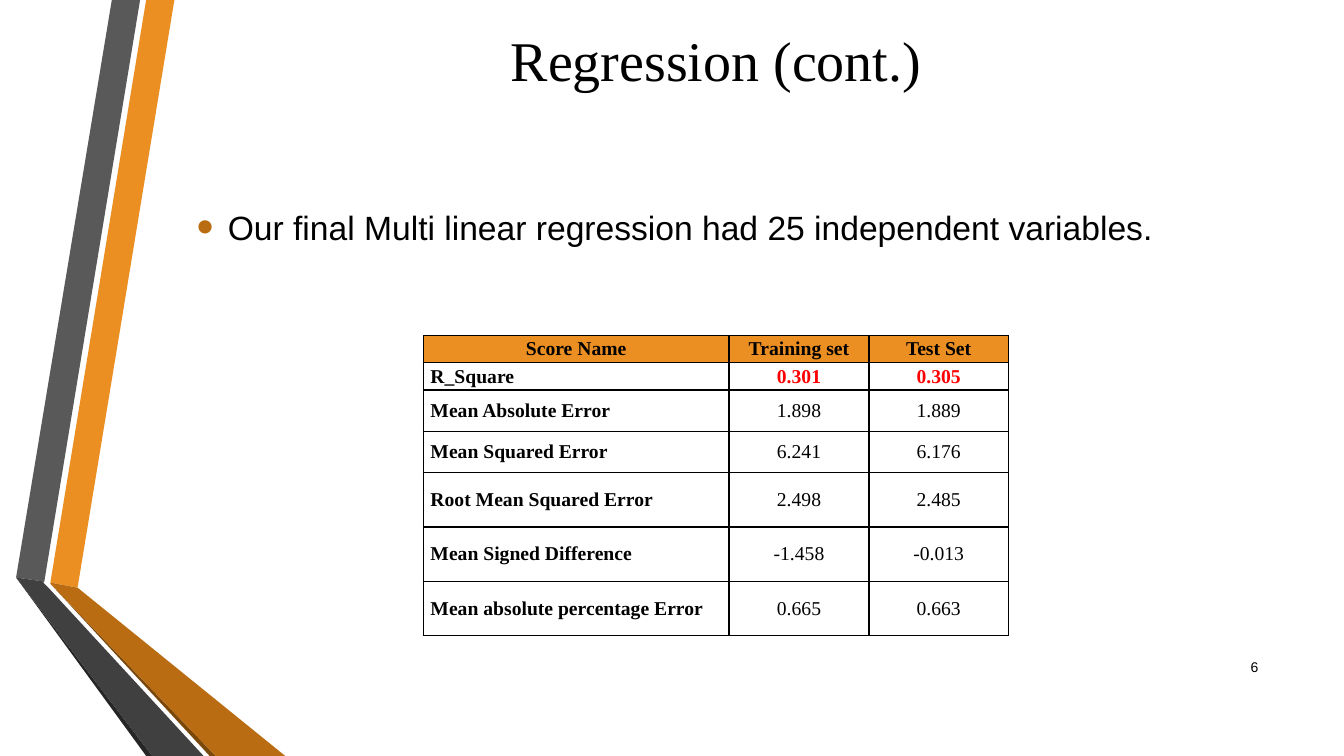
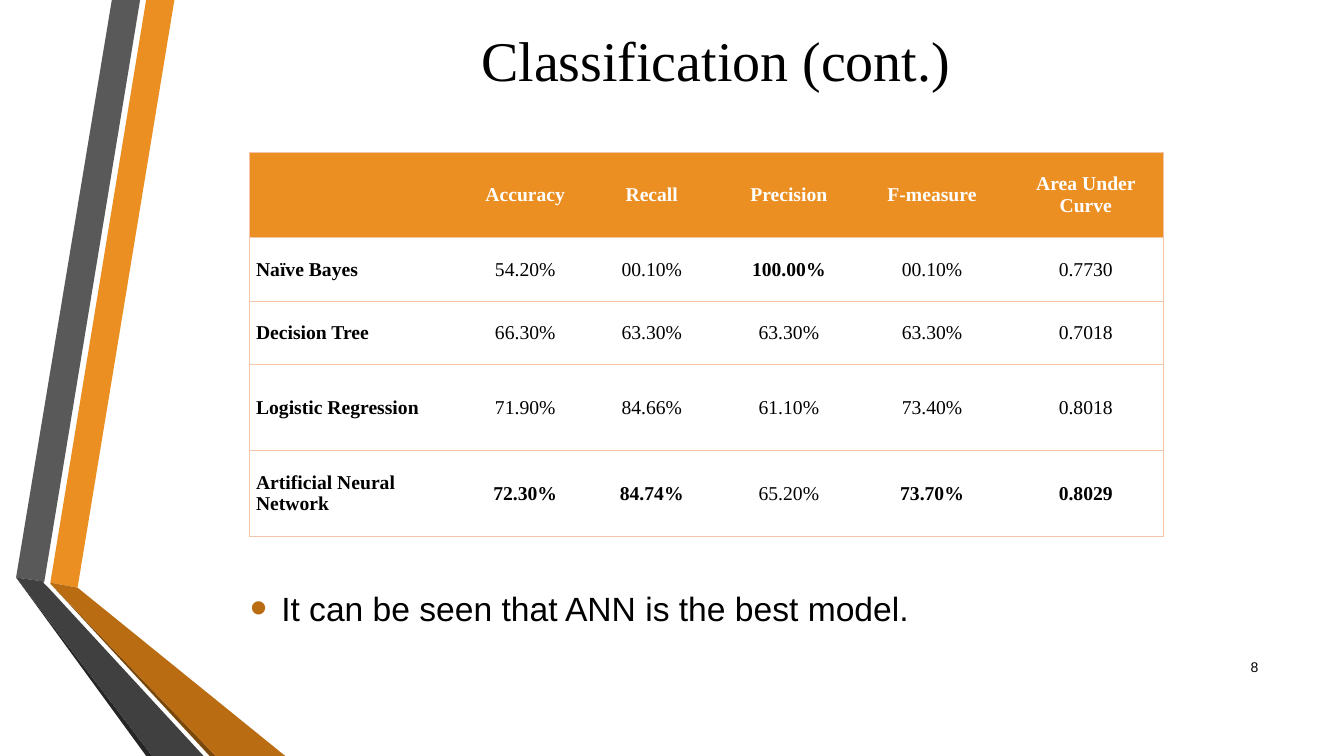
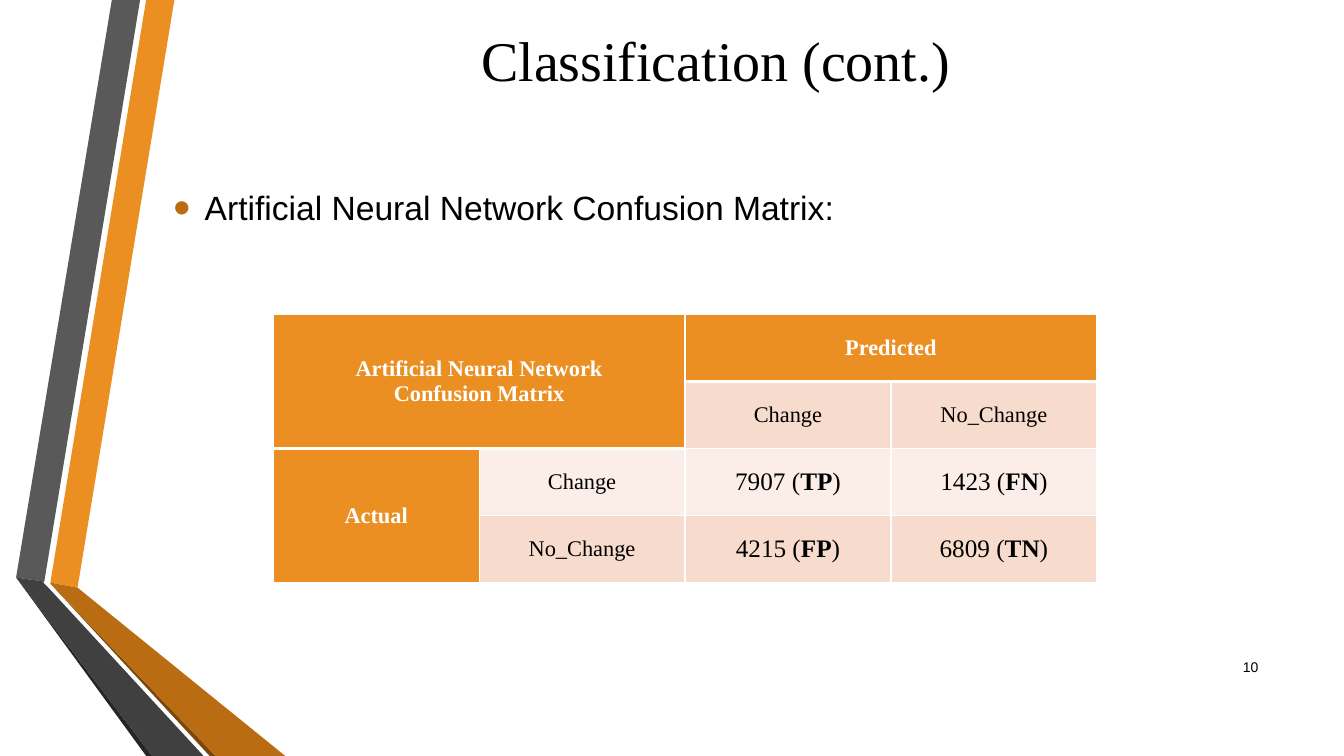
from lxml.etree import SubElement as Sub
from pptx import Presentation
from pptx.dml.color import RGBColor as Rgb
from pptx.enum.text import MSO_ANCHOR as Anchor, MSO_AUTO_SIZE as Auto, PP_ALIGN as Align
from pptx.oxml.ns import qn
from pptx.util import Inches, Pt

HUES = {
    "black": "000000", "white": "FFFFFF", "red": "FF0000",
    "orange": "EB8F22", "brown": "B96C11", "umber": "7B480B",
    "gray": "595959", "slate": "404040", "coal": "262626",
    "peach": "F3C6AC", "rose": "F7DBCD", "blush": "FBEEE8",
}
SERIF, SANS = "Times New Roman", "Arial"
BANDS = [
    ("orange", [(50, 578), (77, 583), (173, 0), (145, 0)]),
    ("gray", [(139, 0), (111, 0), (16, 573), (44, 577)]),
    ("coal", [(16, 573), (145, 750), (151, 750)]),
    ("umber", [(50, 579), (208, 750), (214, 750)]),
    ("brown", [(50, 579), (214, 750), (283, 750), (77, 583), (50, 578)]),
    ("slate", [(202, 750), (48, 583), (43, 578), (44, 577), (16, 573), (151, 750)]),
]


class Deck:
    """Hold the shared style and the current slide."""

    def __init__(self):
        self.prs = Presentation()
        self.prs.slide_width = Inches(13.33)
        self.prs.slide_height = Inches(7.5)
        self.base = self.prs.slide_layouts[1]
        self.slide = None

    def page(self, title, number):
        """Start a slide with its title and number."""
        first = self.slide is None
        self.slide = self.prs.slides.add_slide(self.base)
        if first:
            self.bands()
        head = self.slide.shapes.title
        self.place(head, 1.62, 0, 10.96, 1.17)
        self.put(head.text_frame, title, 40, align=Align.CENTER)
        box = self.slide.shapes.add_textbox(0, 0, 0, 0)
        self.place(box, 11.98, 6.42, 0.6, 0.4)
        self.put(box.text_frame, number, 10, SANS, align=Align.RIGHT)

    def bands(self):
        """Draw the folded bands and hand them to the layout."""
        for num, (hue, dots) in enumerate(BANDS, 20):
            pen = self.slide.shapes.build_freeform(*dots[0], scale=Inches(0.01))
            pen.add_line_segments(dots[1:], close=True)
            band = pen.convert_to_shape()
            band.shadow.inherit = False
            self.paint(band.fill, hue)
            band.line.fill.background()
            band.element.nvSpPr.cNvPr.set("id", str(num))
            self.base.shapes.element.append(band.element)

    def place(self, shape, left, top, width, height):
        """Set the place of a text shape and its frame."""
        shape.left, shape.top = Inches(left), Inches(top)
        shape.width, shape.height = Inches(width), Inches(height)
        frame = shape.text_frame
        frame.word_wrap = True
        frame.auto_size = Auto.NONE
        frame.vertical_anchor = Anchor.MIDDLE

    def paint(self, fill, hue):
        """Fill with a named colour, or with nothing."""
        if hue:
            fill.solid()
            fill.fore_color.rgb = Rgb.from_string(HUES[hue])
        else:
            fill.background()

    def put(self, frame, text, size, font=SERIF, hue="black", align=Align.LEFT):
        """Add lines of text, with bold between stars."""
        for row, line in enumerate(text.split("\n")):
            para = frame.add_paragraph() if row else frame.paragraphs[0]
            para.alignment = align
            for num, part in enumerate(line.split("*")):
                if part:
                    run = para.add_run()
                    run.text = part
                    run.font.name = font
                    run.font.size = Pt(size)
                    run.font.bold = num % 2 == 1
                    run.font.color.rgb = Rgb.from_string(HUES[hue])

    def point(self, text, left, top, width, height, lead=0.05):
        """Put a bullet point in the body."""
        body = self.slide.placeholders[1]
        self.place(body, left, top, width, height)
        body.text_frame.margin_top = Inches(lead)
        self.put(body.text_frame, text, 24, SANS)
        para = body.text_frame.paragraphs[0]
        para.space_before, para.space_after = Pt(5), Pt(6)
        props = para._p.get_or_add_pPr()
        props.set("marL", str(Inches(0.31)))
        props.set("indent", str(-Inches(0.31)))
        Sub(Sub(props, qn("a:buClr")), qn("a:srgbClr")).set("val", HUES["brown"])
        Sub(props, qn("a:buSzPct")).set("val", "145000")
        Sub(props, qn("a:buFont")).set("typeface", SANS)
        Sub(props, qn("a:buChar")).set("char", "•")

    def edge(self, cell, hue, widths):
        """Set the left, right, top and bottom lines of a cell."""
        props = cell._tc.get_or_add_tcPr()
        for side, width in zip("LRTB", widths):
            line = Sub(props, qn("a:ln" + side))
            if width:
                line.set("w", str(Pt(width)))
                fill = Sub(line, qn("a:solidFill"))
                Sub(fill, qn("a:srgbClr")).set("val", HUES[hue])
            else:
                Sub(line, qn("a:noFill"))

    def grid(self, rows, left, top, cols, highs, line, edges, look, spans=()):
        """Add a table; edges and look give the style of each cell."""
        table = self.slide.shapes.add_table(
            len(rows), len(cols), Inches(left), Inches(top),
            Inches(sum(cols)), Inches(sum(highs))).table
        table.first_row = table.horz_banding = False
        for col, width in zip(table.columns, cols):
            col.width = Inches(width)
        for row, high in zip(table.rows, highs):
            row.height = Inches(high)
        for start, end in spans:
            table.cell(*start).merge(table.cell(*end))
        for r, row in enumerate(rows):
            for c, text in enumerate(row):
                cell = table.cell(r, c)
                fill, hue, size, align = look(r, c)
                self.edge(cell, line, edges(r, c))
                self.paint(cell.fill, fill)
                cell.vertical_anchor = Anchor.MIDDLE
                cell.margin_left = cell.margin_right = Inches(0.07)
                cell.margin_top = cell.margin_bottom = 0
                self.put(cell.text_frame, text, size, hue=hue, align=align)


def side(r, c):
    """Align row names left and the rest to the centre."""
    return Align.LEFT if r and not c else Align.CENTER


def score(r, c):
    """Style the cells of the score table."""
    hue = "red" if r == 1 and c else "black"
    return None if r else "orange", hue, 14, side(r, c)


def model(r, c):
    """Style the cells of the model table."""
    return (None, "black", 14, side(r, c)) if r else ("orange", "white", 14, side(r, c))


def matrix(r, c):
    """Style the cells of the confusion matrix."""
    if r == 0 or c == 0 or (r == 1 and c == 1):
        return "orange", "white", 16, Align.CENTER
    size = 18 if r > 1 and c > 1 else 16
    return "rose" if r % 2 else "blush", "black", size, Align.CENTER


def rule(r, c):
    """Give the matrix a heavy line below its header."""
    last = 1 if c < 2 else 0
    return 1, 1, 3 if r == last + 1 else 1, 3 if r <= last else 1


deck = Deck()

deck.page("Regression (cont.)", "6")
deck.point("Our final Multi linear regression had 25 independent variables.",
           1.85, 1.17, 10.96, 2.16)
deck.grid([
    ("*Score Name*", "*Training set*", "*Test Set*"),
    ("*R_Square*", "*0.301*", "*0.305*"),
    ("*Mean Absolute Error*", "1.898", "1.889"),
    ("*Mean Squared Error*", "6.241", "6.176"),
    ("*Root Mean Squared Error*", "2.498", "2.485"),
    ("*Mean Signed Difference*", "-1.458", "-0.013"),
    ("*Mean absolute percentage Error*", "0.665", "0.663"),
], 4.2, 3.33, [3.03, 1.39, 1.38], [0.27] * 2 + [0.41] * 2 + [0.54] * 3,
    "black", lambda r, c: (1, 1, 1, 1), score)

deck.page("Classification (cont.)", "8")
deck.point("It can be seen that ANN is the best model.",
           2.38, 3.79, 10.95, 3.42, lead=1.11)
deck.grid([
    ("", "*Accuracy*", "*Recall*", "*Precision*", "*F-measure*", "*Area Under Curve*"),
    ("*Naïve Bayes*", "54.20%", "00.10%", "*100.00%*", "00.10%", "0.7730"),
    ("*Decision Tree*", "66.30%", "63.30%", "63.30%", "63.30%", "0.7018"),
    ("*Logistic Regression*", "71.90%", "84.66%", "61.10%", "73.40%", "0.8018"),
    ("*Artificial Neural Network*", "*72.30%*", "*84.74%*", "65.20%", "*73.70%*",
     "*0.8029*"),
], 2.47, 1.51, [2.18, 1.12, 1.39, 1.33, 1.51, 1.54], [0.85, 0.63, 0.63, 0.85, 0.85],
    "peach", lambda r, c: (0.75 * (c == 0), 0.75 * (c == 5), 0.75, 0.75), model)

deck.page("Classification (cont.)", "10")
deck.point("Artificial Neural Network Confusion Matrix:", 1.62, 0.99, 10.96, 2.13)
deck.grid([
    ("*Artificial Neural Network*\n*Confusion Matrix*", "", "*Predicted*", ""),
    ("", "", "Change", "No_Change"),
    ("*Actual*", "Change", "7907 (*TP*)", "1423 (*FN*)"),
    ("", "No_Change", "4215 (*FP*)", "6809 (*TN*)"),
], 2.71, 3.12, [8.17 / 4] * 4, [2.66 / 4] * 4, "white", rule, matrix,
    [((0, 0), (1, 1)), ((0, 2), (0, 3)), ((2, 0), (3, 0))])

deck.prs.save("out.pptx")
